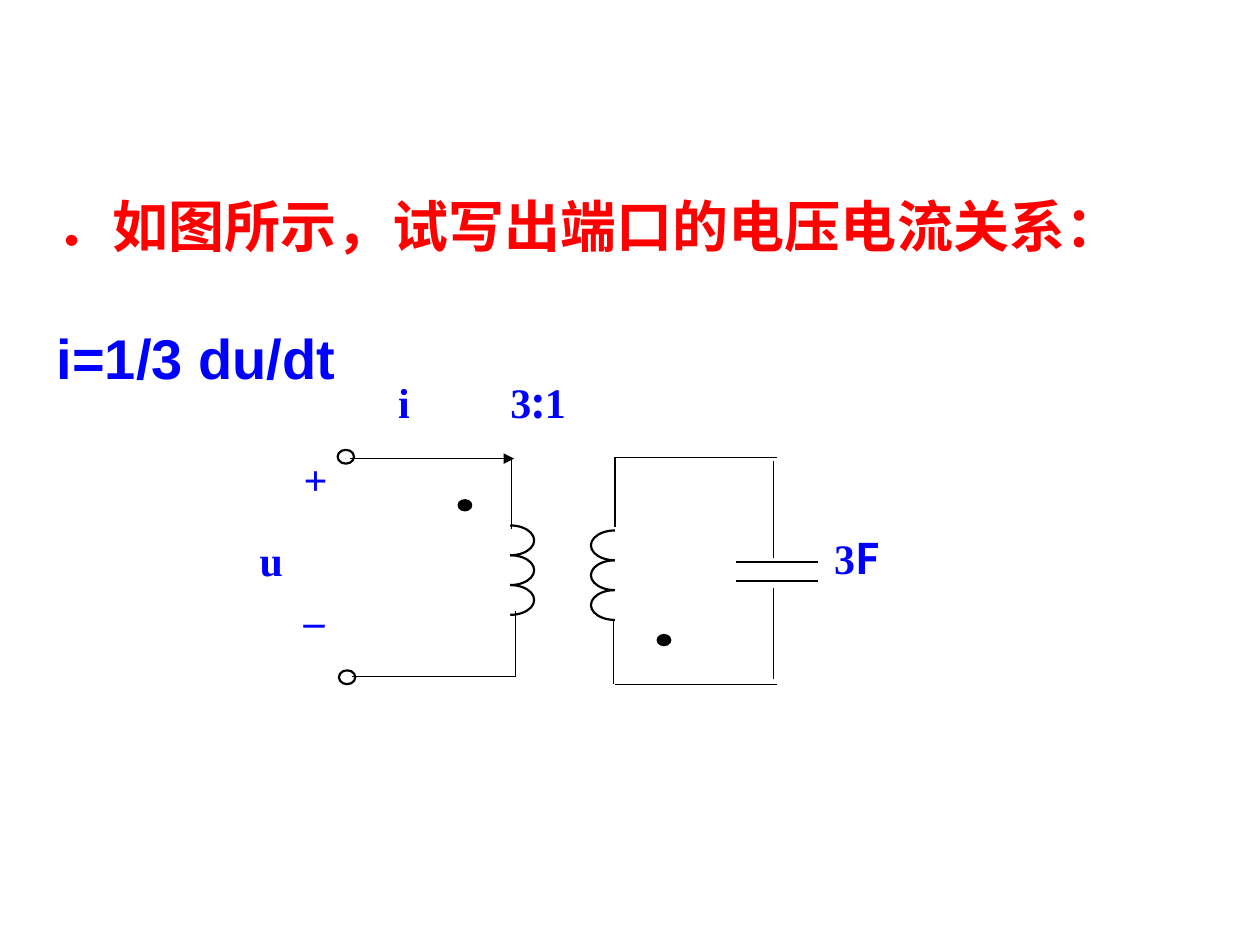
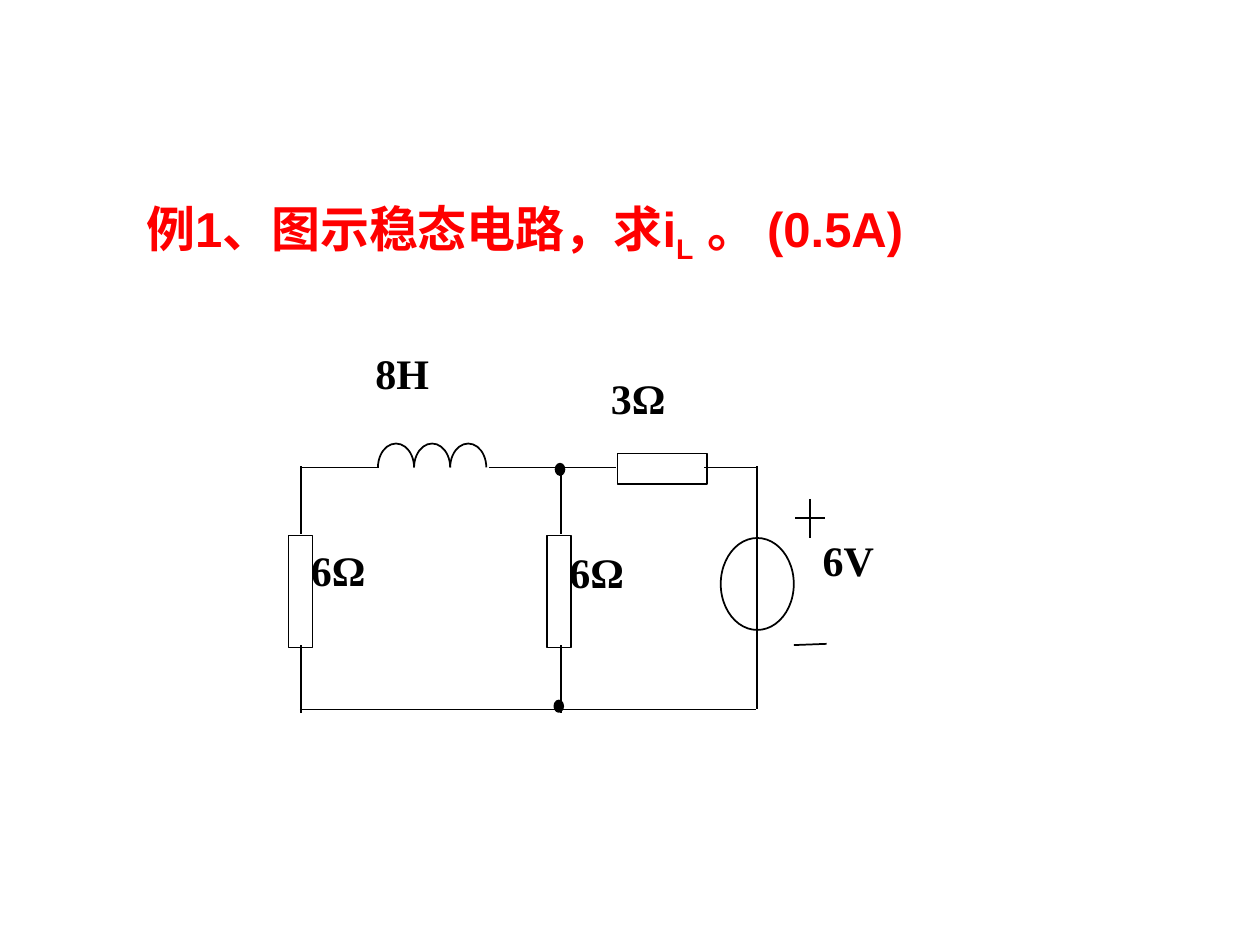
from pptx import Presentation
from pptx.dml.color import RGBColor
from pptx.enum.shapes import MSO_CONNECTOR, MSO_SHAPE as Shape
from pptx.enum.text import MSO_ANCHOR, MSO_AUTO_SIZE, PP_ALIGN
from pptx.oxml.ns import qn
from pptx.util import Inches, Pt
from lxml.etree import SubElement

RED, BLUE, BLACK = "FF0000", "0000FF", "000000"
SANS, SERIF, CJK = "Arial", "Times New Roman", "Noto Sans CJK SC"

# Content: headings are paragraphs of (text, colour, subscript) runs
TRANSFORMER = {
    "heading": [
        [("．如图所示，试写出端口的电压电流关系：", RED, False)],
        [("i=1/3 du/dt", BLUE, False)],
    ],
    "heading_at": (0.35, 1.47, 9.65, 1.7),
    "heading_size": 32,
    "line_spacing": 1.0,
    "wire_width": 0.75,
    "part_width": 1.25,
    "wires": [
        (4.06, 3.65, 4.06, 4.2), (4.09, 4.85, 4.09, 5.37),
        (2.79, 5.37, 4.09, 5.37),
        (4.88, 3.63, 4.88, 4.18), (4.87, 4.91, 4.87, 5.43),
        (4.88, 3.63, 6.17, 3.63), (4.88, 5.43, 6.17, 5.43),
        (6.14, 3.66, 6.14, 4.43), (6.14, 4.67, 6.14, 5.39),
    ],
    "arrows": [(2.78, 3.64, 4.08, 3.64)],
    "plates": [(5.84, y, 6.49, y) for y in (4.46, 4.61)],
    # Coils: side the turns bulge to, start x, start y, length, bulge
    "coils": [("right", 4.05, 4.17, 0.71, 0.19), ("left", 4.88, 4.21, 0.71, 0.19)],
    "dots": [(3.64, 3.97, 0.1, 0.08), (5.22, 5.04, 0.1, 0.08)],
    "terminals": [(2.68, 3.57, 0.13, 0.11), (2.69, 5.32, 0.13, 0.11)],
    "label_colour": BLUE,
    "label_insets": (0, 0),
    "labels": [
        ((6.62, 4.23, 0.71, 0.55), [("3", SERIF), ("F", CJK)]),
        ((2.41, 3.6, 0.39, 0.51), [("+", SERIF)]),
        ((2.41, 4.72, 0.45, 0.4), [("–", SERIF)]),
        ((2.06, 4.24, 0.48, 0.59), [("u", SERIF)]),
        ((4.05, 2.99, 1, 0.59), [("3", SERIF), (":", CJK), ("1", SERIF)]),
        ((3.16, 2.99, 0.48, 0.59), [("i", SERIF)]),
    ],
}

STEADY_STATE = {
    "heading": [[("例1、图示稳态电路，求i", RED, False), ("L", RED, True),
                 (" 。 (0.5A)", RED, False)]],
    "heading_at": (1.06, 1.31, 8.94, 0.85),
    "heading_size": 28,
    "line_spacing": 1.4,
    "wire_width": 1,
    "part_width": 1,
    "wires": [
        (2.38, 5.63, 6, 5.63), (6.01, 3.7, 6.01, 5.63),
        (2.4, 3.71, 3.01, 3.71), (3.88, 3.71, 4.49, 3.71),
        (4.46, 3.71, 4.89, 3.71), (5.59, 3.71, 6.02, 3.71),
        # Plus and minus of the source
        (6.31, 4.11, 6.55, 4.11), (6.43, 3.96, 6.43, 4.27), (6.3, 5.12, 6.56, 5.11),
    ] + [(x, top, x, top + 0.54) for x in (2.39, 4.45) for top in (3.7, 5.12)],
    "coils": [("up", 3, 3.71, 0.86, 0.19)],
    "dots": [(4.4, 5.56, 0.07, 0.09), (4.41, 3.68, 0.07, 0.09)],
    "resistors": [(2.29, 4.25, 0.19, 0.89), (4.34, 4.25, 0.19, 0.89),
                  (4.9, 3.6, 0.71, 0.24)],
    "sources": [(5.72, 4.27, 0.58, 0.73)],
    "label_colour": BLACK,
    "label_insets": (0.1, 0.05),
    "labels": [
        ((6.43, 4.19, 0.97, 0.88), [("6V", SERIF)]),
        ((4.75, 2.91, 1.17, 0.78), [("3Ω", SERIF)]),
        ((2.88, 2.71, 1.09, 0.88), [("8H", SERIF)]),
        ((2.37, 4.27, 1.17, 0.78), [("6Ω", SERIF)]),
        ((4.42, 4.29, 1.17, 0.78), [("6Ω", SERIF)]),
    ],
}

# Start and end angle of a half turn, in degrees clockwise from the right
TURN_ANGLES = {"right": (270, 90), "left": (90, 270), "up": (180, 0)}
ANGLE_UNIT = 0.6  # 60000 units per degree, adjustments count 100000 as 1
TURNS = 3
BLANK_LINE = 37


def colour(value):
    return RGBColor.from_string(value)


def add_span(para, text, size, font, ink):
    span = para.add_run()
    span.text = text
    span.font.size, span.font.bold, span.font.name = Pt(size), True, font
    span.font.color.rgb = colour(ink)
    SubElement(span.font._element, qn("a:ea")).set("typeface", CJK)
    return span


def set_frame(frame, across, down):
    frame.word_wrap = True
    frame.auto_size = MSO_AUTO_SIZE.NONE
    frame.vertical_anchor = MSO_ANCHOR.TOP
    frame.margin_left = frame.margin_right = Inches(across)
    frame.margin_top = frame.margin_bottom = Inches(down)


def add_heading(page, circuit):
    box = page.shapes.title
    box.left, box.top, box.width, box.height = map(Inches, circuit["heading_at"])
    frame = box.text_frame
    set_frame(frame, 0.1, 0.05)
    for index, runs in enumerate(circuit["heading"]):
        para = frame.add_paragraph() if index else frame.paragraphs[0]
        para.alignment = PP_ALIGN.LEFT
        para.line_spacing = circuit["line_spacing"]
        para.space_before = Pt(BLANK_LINE if index else 0)
        for text, ink, subscript in runs:
            span = add_span(para, text, circuit["heading_size"], SANS, ink)
            if subscript:
                span.font._element.set("baseline", "-25000")


def add_line(page, ends, width, arrow=False):
    line = page.shapes.add_connector(MSO_CONNECTOR.STRAIGHT, *map(Inches, ends))
    line.line.color.rgb = colour(BLACK)
    line.line.width = Pt(width)
    if arrow:
        SubElement(line.line._get_or_add_ln(), qn("a:tailEnd")).set("type", "triangle")
    SubElement(line._element.spPr, qn("a:effectLst"))


def add_part(page, kind, place, width, fill=None):
    part = page.shapes.add_shape(kind, *map(Inches, place))
    part.shadow.inherit = False
    part.line.color.rgb = colour(BLACK)
    part.line.width = Pt(width)
    if fill:
        part.fill.solid()
        part.fill.fore_color.rgb = colour(fill)
    else:
        part.fill.background()
    return part


def add_coil(page, side, x, y, length, bulge, width):
    pitch = length / TURNS
    for turn in range(TURNS):
        if side == "up":
            place = (x + turn * pitch, y - bulge, pitch, 2 * bulge)
        else:
            place = (x - bulge, y + turn * pitch, 2 * bulge, pitch)
        arc = add_part(page, Shape.ARC, place, width)
        for index, angle in enumerate(TURN_ANGLES[side]):
            arc.adjustments[index] = angle * ANGLE_UNIT


def add_label(page, place, runs, ink, insets):
    box = page.shapes.add_textbox(*map(Inches, place))
    set_frame(box.text_frame, *insets)
    for text, font in runs:
        add_span(box.text_frame.paragraphs[0], text, 24, font, ink)


def add_circuit(deck, circuit):
    page = deck.slides.add_slide(deck.slide_layouts[5])
    add_heading(page, circuit)
    thin, thick = circuit["wire_width"], circuit["part_width"]

    # Lines
    for ends in circuit["wires"]:
        add_line(page, ends, thin)
    for ends in circuit.get("arrows", []):
        add_line(page, ends, thin, arrow=True)
    for ends in circuit.get("plates", []):
        add_line(page, ends, thick)

    # Components
    for coil in circuit["coils"]:
        add_coil(page, *coil, thick)
    for name, kind, fill in (
        ("dots", Shape.FLOWCHART_CONNECTOR, BLACK),
        ("terminals", Shape.FLOWCHART_CONNECTOR, None),
        ("resistors", Shape.RECTANGLE, None),
        ("sources", Shape.OVAL, None),
    ):
        for place in circuit.get(name, []):
            add_part(page, kind, place, thick, fill)

    # Labels
    for place, runs in circuit["labels"]:
        add_label(page, place, runs, circuit["label_colour"], circuit["label_insets"])


def main():
    deck = Presentation()
    deck.slide_width, deck.slide_height = Inches(10), Inches(7.5)
    for circuit in (TRANSFORMER, STEADY_STATE):
        add_circuit(deck, circuit)
    deck.save("out.pptx")


if __name__ == "__main__":
    main()
